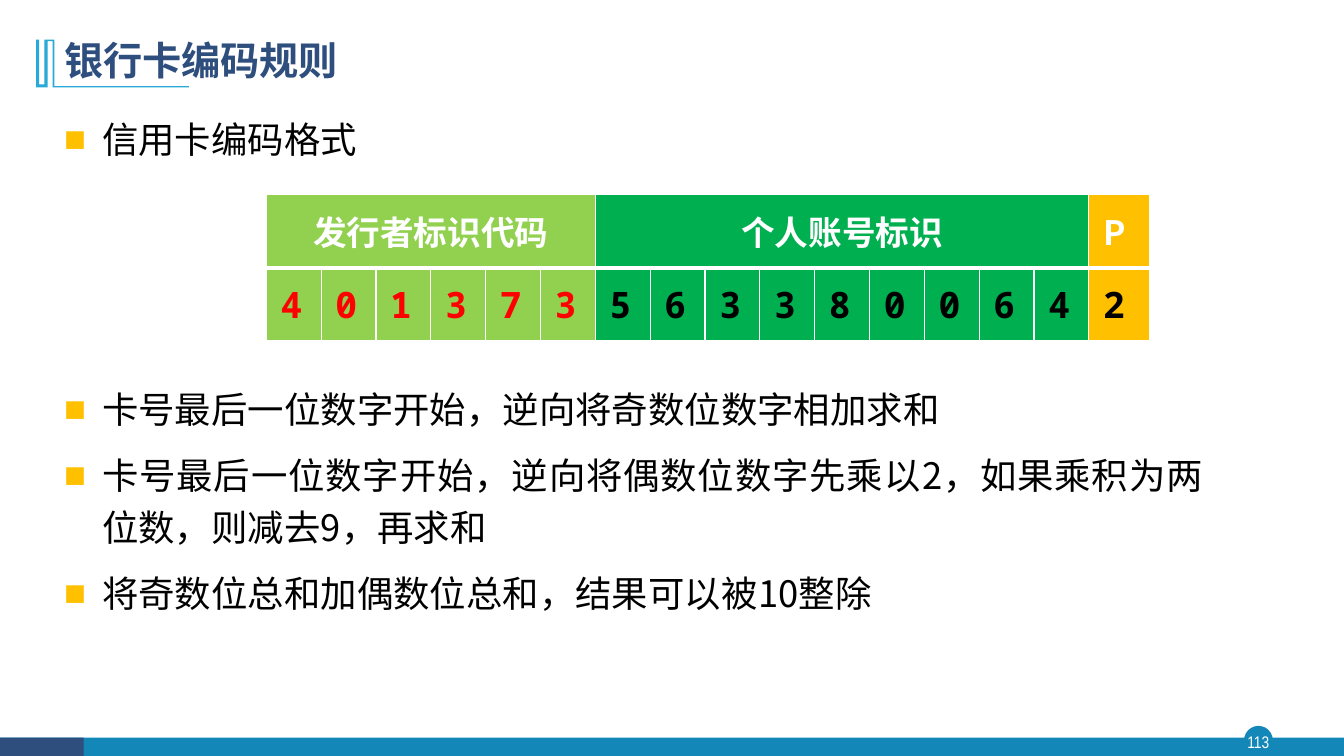
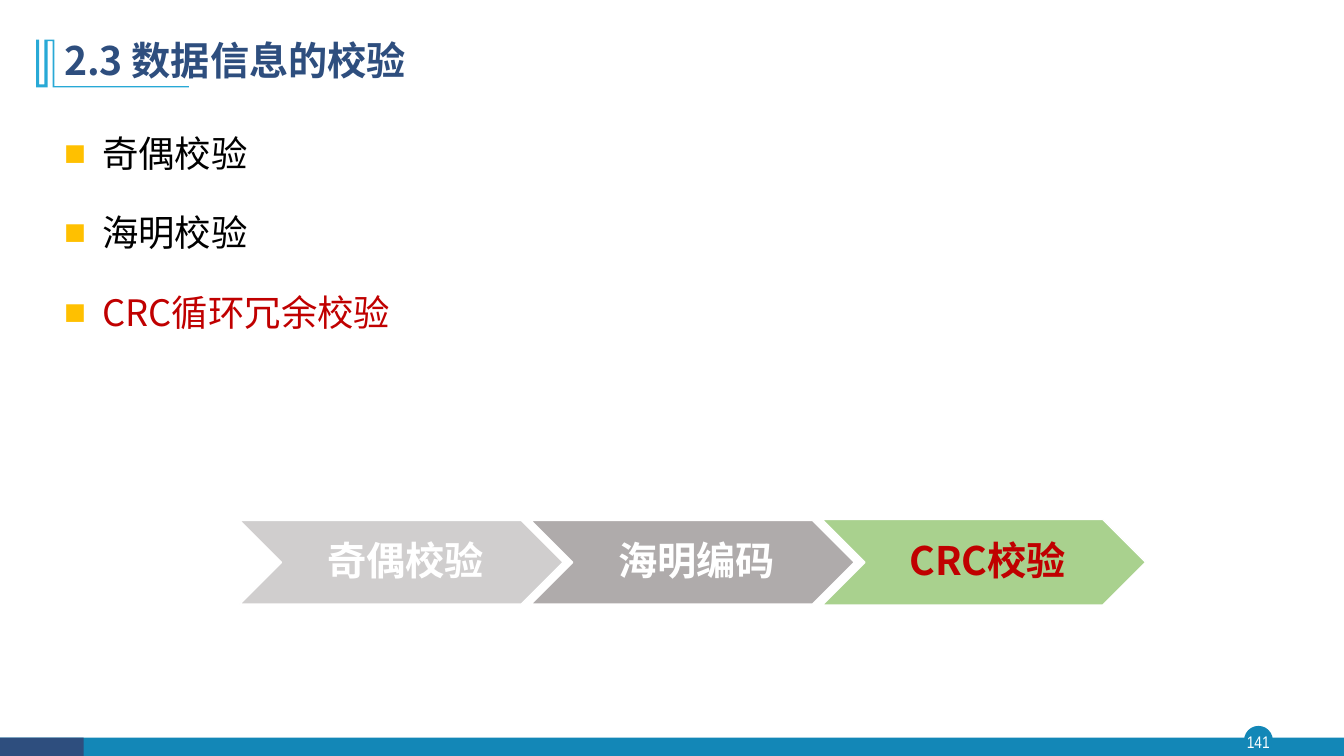
from dataclasses import dataclass

from lxml import etree
from pptx import Presentation
from pptx.dml.color import RGBColor
from pptx.enum import shapes, text
from pptx.oxml import ns
from pptx.util import Cm, Pt


@dataclass(frozen=True)
class Theme:
    # Colours
    navy: str = "2E4E7E"
    teal: str = "1387B7"
    sky: str = "28A9D6"
    amber: str = "FFC000"
    lime: str = "92D050"
    green: str = "00B050"
    pale_green: str = "A9D18E"
    light_gray: str = "D0CECE"
    mid_gray: str = "AFABAB"
    red: str = "FF0000"
    dark_red: str = "C00000"
    black: str = "000000"
    white: str = "FFFFFF"
    # Fonts
    sans: str = "Noto Sans CJK SC"
    mono: str = "Noto Sans Mono"
    narrow: str = "Arial Narrow"
    bullet: str = "Arial"
    # Type sizes in points
    title: int = 28
    body: int = 26
    header: int = 24
    digit: int = 26
    page: int = 12


THEME = Theme()
BRACKET = [(137, 100), (137, 217), (476, 217), (476, 220), (133, 220), (133, 104),
           (120, 104), (120, 220), (91, 220), (91, 100), (99, 100), (99, 213),
           (112, 213), (112, 100)]  # hundredths of a centimetre


# Text helpers
def format_runs(paragraph, size, color, font=THEME.sans, bold=False):
    for run in paragraph.runs:
        run.font.size = Pt(size)
        run.font.bold = bold
        run.font.name = font
        run.font.color.rgb = RGBColor.from_string(color)
        east_asian = etree.Element(ns.qn("a:ea"), typeface=font)
        run.font._element.find(ns.qn("a:latin")).addnext(east_asian)


def set_margins(frame, left, top, right, bottom):
    frame.margin_left, frame.margin_top = Cm(left), Cm(top)
    frame.margin_right, frame.margin_bottom = Cm(right), Cm(bottom)


def add_bullet(paragraph):
    properties = paragraph._p.get_or_add_pPr()
    properties.set("marL", str(Cm(0.96)))
    properties.set("indent", str(-Cm(0.96)))
    color = etree.SubElement(properties, ns.qn("a:buClr"))
    etree.SubElement(color, ns.qn("a:srgbClr"), val=THEME.amber)
    etree.SubElement(properties, ns.qn("a:buFont"), typeface=THEME.bullet)
    etree.SubElement(properties, ns.qn("a:buChar"), char="■")


# Shape helpers
def place(shape, left, top, width, height):
    shape.left, shape.top = Cm(left), Cm(top)
    shape.width, shape.height = Cm(width), Cm(height)


def paint(shape, fill, line=None):
    shape.shadow.inherit = False
    shape.fill.solid()
    shape.fill.fore_color.rgb = RGBColor.from_string(fill)
    if line:
        shape.line.color.rgb = RGBColor.from_string(line)
        shape.line.width = Pt(1)
    else:
        shape.line.fill.background()


def add_preset(slide, preset, box, fill, line=None):
    shape = slide.shapes.add_shape(preset, *map(Cm, box))
    paint(shape, fill, line)
    return shape


# Parts that every slide shares
def add_decorations(slide):
    kinds = shapes.MSO_SHAPE
    add_preset(slide, kinds.OVAL, (31.37, 18.31, 0.69, 0.69), THEME.teal, THEME.teal)
    add_preset(slide, kinds.RECTANGLE, (0, 18.59, 33.87, 0.46), THEME.teal)
    add_preset(slide, kinds.RECTANGLE, (0, 18.59, 2.11, 0.46), THEME.navy)
    builder = slide.shapes.build_freeform(*BRACKET[0], scale=float(Cm(0.01)))
    builder.add_line_segments(BRACKET[1:], close=True)
    paint(builder.convert_to_shape(), THEME.sky)


def fill_title(slide, title):
    frame = slide.shapes.title.text_frame
    frame.text = title
    frame.auto_size = text.MSO_AUTO_SIZE.NONE
    frame.vertical_anchor = text.MSO_ANCHOR.MIDDLE
    paragraph = frame.paragraphs[0]
    paragraph.alignment = text.PP_ALIGN.LEFT
    paragraph.line_spacing = 0.9
    format_runs(paragraph, THEME.title, THEME.navy, bold=True)


def add_page_number(slide, number):
    box = slide.shapes.add_textbox(Cm(31.3), Cm(18.36), Cm(0.82), Cm(0.69))
    frame = box.text_frame
    set_margins(frame, 0, 0, 0, 0)
    frame.vertical_anchor = text.MSO_ANCHOR.MIDDLE
    frame.text = str(number)
    frame.paragraphs[0].alignment = text.PP_ALIGN.CENTER
    format_runs(frame.paragraphs[0], THEME.page, THEME.white, THEME.narrow)


def start_slide(presentation, title, number):
    slide = presentation.slides.add_slide(presentation.slide_layouts[1])
    add_decorations(slide)
    add_page_number(slide, number)
    fill_title(slide, title)
    return slide


# Content parts
def fill_bullets(slide, items, line_height):
    """Each item is its wording, the space before it in points, and its colour."""
    frame = slide.placeholders[1].text_frame
    frame.text = "\n".join(wording for wording, _, _ in items)
    frame.auto_size = text.MSO_AUTO_SIZE.NONE
    for paragraph, (_, space_before, color) in zip(frame.paragraphs, items):
        paragraph.alignment = text.PP_ALIGN.JUSTIFY
        paragraph.line_spacing = Pt(line_height)
        paragraph.space_before = Pt(space_before)
        add_bullet(paragraph)
        format_runs(paragraph, THEME.body, color)


def set_borders(cell, bottom_width):
    properties = cell._tc.get_or_add_tcPr()
    widths = {"a:lnL": 1, "a:lnR": 1, "a:lnT": 1, "a:lnB": bottom_width}
    for index, (tag, width) in enumerate(widths.items()):
        line = etree.Element(ns.qn(tag), w=str(Pt(width)))
        fill = etree.SubElement(line, ns.qn("a:solidFill"))
        etree.SubElement(fill, ns.qn("a:srgbClr"), val=THEME.white)
        properties.insert(index, line)


def fill_cell(cell, wording, color, size, font, centered):
    set_margins(cell, 0.36, 0.18, 0.36, 0.18)
    cell.vertical_anchor = text.MSO_ANCHOR.MIDDLE
    cell.text_frame.text = wording
    paragraph = cell.text_frame.paragraphs[0]
    paragraph.alignment = text.PP_ALIGN.CENTER if centered else text.PP_ALIGN.LEFT
    format_runs(paragraph, size, color, font, bold=True)


def add_card_table(slide, fields):
    """Each field is its heading, digits, fill and digit colour."""
    count = sum(len(digits) for _, digits, _, _ in fields)
    width, check_width, row_height = 22.25, 1.52, 1.84
    frame = slide.shapes.add_table(2, count, Cm(6.71), Cm(4.91), Cm(width), Cm(2 * row_height))
    table = frame.table
    for column in table.columns:
        column.width = Cm((width - check_width) / (count - 1))
    table.columns[count - 1].width = Cm(check_width)

    start = 0
    for heading, digits, fill, color in fields:
        end = start + len(digits)
        for column, digit in enumerate(digits, start):
            for row in range(2):
                cell = table.cell(row, column)
                cell.fill.solid()
                cell.fill.fore_color.rgb = RGBColor.from_string(fill)
                set_borders(cell, 1 if row else 3)
            fill_cell(table.cell(1, column), digit, color, THEME.digit, THEME.mono, False)
        header = table.cell(0, start)
        if len(digits) > 1:
            header.merge(table.cell(0, end - 1))
        fill_cell(header, heading, THEME.white, THEME.header, THEME.sans, len(digits) > 1)
        start = end


def add_chevrons(slide, steps):
    """Each step is its wording, fill, text colour and height."""
    left, middle, width, pitch = 6.04, 14.17, 8.15, 7.34
    for index, (wording, fill, color, height) in enumerate(steps):
        box = (left + index * pitch, middle - height / 2, width, height)
        shape = add_preset(slide, shapes.MSO_SHAPE.CHEVRON, box, fill, THEME.white)
        frame = shape.text_frame
        set_margins(frame, 0.3, 0.1, 0.1, 0.1)
        frame.vertical_anchor = text.MSO_ANCHOR.MIDDLE
        frame.text = wording
        paragraph = frame.paragraphs[0]
        paragraph.alignment = text.PP_ALIGN.CENTER
        paragraph.line_spacing = 0.9
        format_runs(paragraph, THEME.title, color, bold=True)


def main():
    presentation = Presentation()
    presentation.slide_width, presentation.slide_height = Cm(33.87), Cm(19.05)
    layout = presentation.slide_layouts[1]
    place(layout.placeholders[0], 1.36, 0.71, 29.21, 1.73)
    place(layout.placeholders[1], 1.36, 2.62, 29.21, 15.6)

    # Bank card coding rules
    card_slide = start_slide(presentation, "银行卡编码规则", 113)
    fill_bullets(card_slide, [
        ("信用卡编码格式", 0, THEME.black),
        ("卡号最后一位数字开始，逆向将奇数位数字相加求和", 155, THEME.black),
        ("卡号最后一位数字开始，逆向将偶数位数字先乘以2，如果乘积为两位数，则减去9，再求和",
         10, THEME.black),
        ("将奇数位总和加偶数位总和，结果可以被10整除", 10, THEME.black),
    ], line_height=37.3)
    add_card_table(card_slide, [
        ("发行者标识代码", "401373", THEME.lime, THEME.red),
        ("个人账号标识", "563380064", THEME.green, THEME.black),
        ("P", "2", THEME.amber, THEME.black),
    ])

    # Data checking methods
    check_slide = start_slide(presentation, "2.3 数据信息的校验", 141)
    fill_bullets(check_slide, [
        ("奇偶校验", 0, THEME.black),
        ("海明校验", 10, THEME.black),
        ("CRC循环冗余校验", 10, THEME.dark_red),
    ], line_height=46.8)
    add_chevrons(check_slide, [
        ("奇偶校验", THEME.light_gray, THEME.white, 2.11),
        ("海明编码", THEME.mid_gray, THEME.white, 2.11),
        ("CRC校验", THEME.pale_green, THEME.dark_red, 2.16),
    ])

    presentation.save("out.pptx")


if __name__ == "__main__":
    main()
